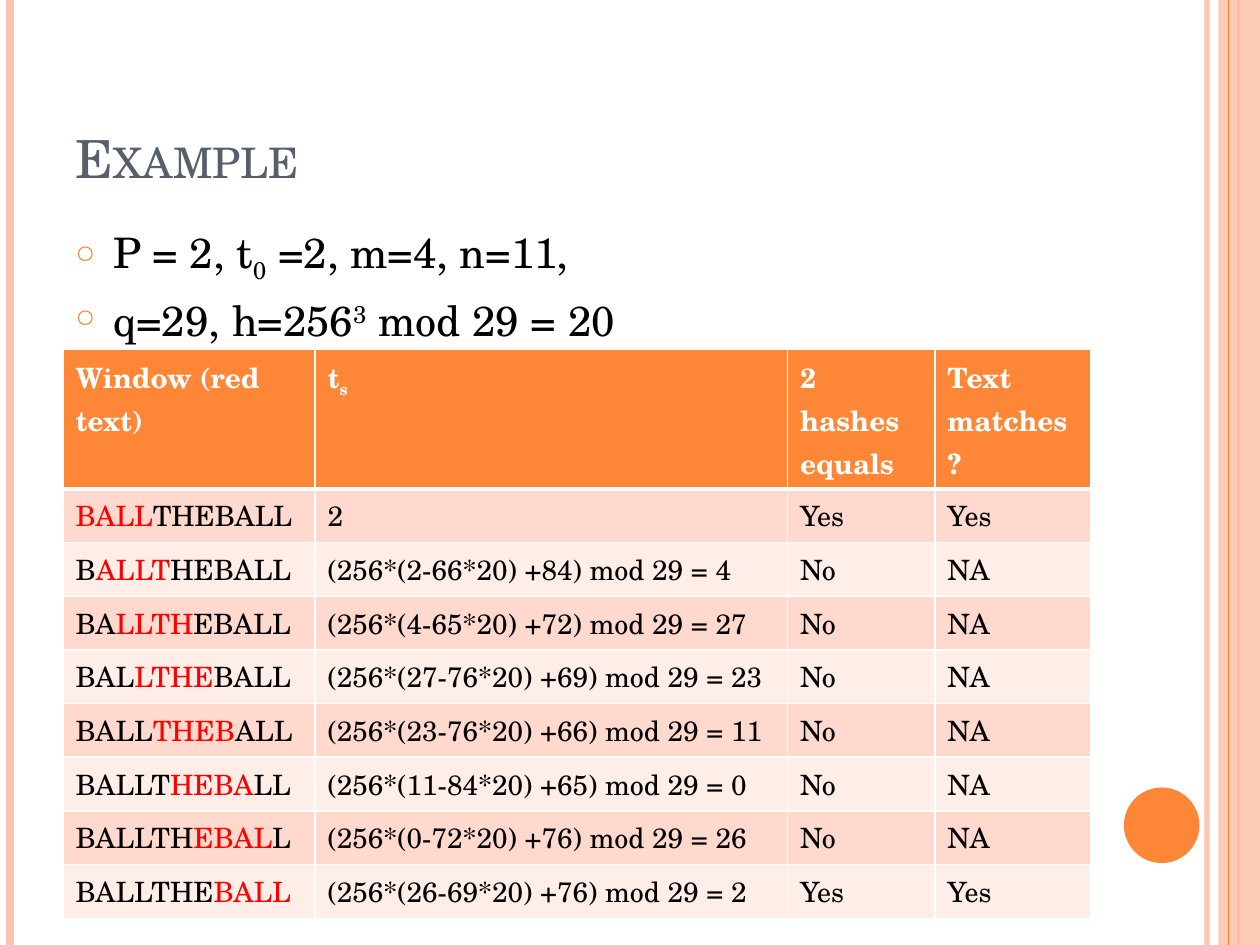
from dataclasses import dataclass

from lxml import etree
from pptx import Presentation
from pptx.dml.color import RGBColor
from pptx.enum.shapes import MSO_CONNECTOR, MSO_SHAPE
from pptx.enum.text import MSO_ANCHOR
from pptx.oxml.ns import qn
from pptx.util import Inches, Pt

STRAIGHT = MSO_CONNECTOR.STRAIGHT
RECTANGLE, OVAL = MSO_SHAPE.RECTANGLE, MSO_SHAPE.OVAL
BOTTOM, TOP = MSO_ANCHOR.BOTTOM, MSO_ANCHOR.TOP


@dataclass(frozen=True)
class Theme:
    font: str = "TeX Gyre Schola"
    accent: str = "FE8637"
    peach: str = "FEC3AE"
    title: str = "575F6D"
    text: str = "000000"
    window: str = "FF0000"
    white: str = "FFFFFF"
    bands: tuple = ("FFD9CE", "FFEDE8")
    title_size: int = 30
    body_size: int = 24
    table_size: int = 16


THEME = Theme()
TEXT = "BALLTHEBALL"
WINDOW_LENGTH = 4
HEADERS = [[("Window (red text)", 0)], [("t", 0), ("s", -25)],
           [("2 hashes equals", 0)], [("Text matches?", 0)]]
STEPS = [
    ("2", "Yes", "Yes"),
    ("(256*(2-66*20) +84) mod 29 = 4", "No", "NA"),
    ("(256*(4-65*20) +72) mod 29 = 27", "No", "NA"),
    ("(256*(27-76*20) +69) mod 29 = 23", "No", "NA"),
    ("(256*(23-76*20) +66) mod 29 = 11", "No", "NA"),
    ("(256*(11-84*20) +65) mod 29 = 0", "No", "NA"),
    ("(256*(0-72*20) +76) mod 29 = 26", "No", "NA"),
    ("(256*(26-69*20) +76) mod 29 = 2", "Yes", "Yes"),
]
GIVENS = [
    [("P = 2, t", 0), ("0", -25), (" =2, m=4, n=11,", 0)],
    [("q=29, h=256", 0), ("3", 30), (" mod 29 = 20", 0)],
]
COLUMN_WIDTHS = (2, 3.75, 1.17, 1.24)
HEADER_HEIGHT = 1.11


def rgb(color):
    return RGBColor.from_string(color)


def add_element(parent, tag, **attributes):
    return etree.SubElement(parent, qn(tag), attributes)


def set_opacity(element, percent):
    color = next(element.iter(qn("a:srgbClr")))
    add_element(color, "a:alpha", val=str(percent * 1000))


def add_span(para, text, size, color=THEME.text, bold=False, baseline=0,
             small_caps=False):
    span = para.add_run()
    span.text = text
    span.font.name = THEME.font
    span.font.size = Pt(size)
    span.font.bold = bold
    span.font.color.rgb = rgb(color)
    properties = span.font._element
    if baseline:
        properties.set("baseline", str(baseline * 1000))
    if small_caps:
        properties.set("cap", "small")


def add_frame(page, box, anchor):
    frame = page.shapes.add_textbox(*map(Inches, box)).text_frame
    frame.word_wrap = True
    frame.vertical_anchor = anchor
    return frame


def add_rule(page, x, height, color, width, opacity=100):
    rule = page.shapes.add_connector(
        STRAIGHT, Inches(x), 0, Inches(x), Inches(height))
    rule.line.color.rgb = rgb(color)
    rule.line.width = Pt(width)
    add_element(rule._element.spPr, "a:effectLst")
    if opacity < 100:
        set_opacity(rule._element.spPr, opacity)


def add_block(page, kind, box, color, opacity=100):
    block = page.shapes.add_shape(kind, *map(Inches, box))
    block.shadow.inherit = False
    block.fill.solid()
    block.fill.fore_color.rgb = rgb(color)
    block.line.fill.background()
    if opacity < 100:
        set_opacity(block._element.spPr, opacity)


def add_decoration(page, box):
    """Edge stripes and the disc, placed inside the page box."""
    left, top, width, height = box
    right = left + width
    add_rule(page, right - 0.42, height, THEME.peach, 3, opacity=93)
    add_rule(page, left + 0.08, height, THEME.peach, 4.5)
    add_rule(page, right - 0.17, height, THEME.accent, 1.5)
    add_block(page, RECTANGLE, (right - 0.33, top, 0.33, height),
              THEME.peach, opacity=87)
    add_rule(page, right - 0.25, height, THEME.accent, 0.75)
    add_block(page, OVAL, (right - 1.08, top + 6.25, 0.6, 0.6), THEME.accent)


def add_title(page, box, text):
    para = add_frame(page, box, BOTTOM).paragraphs[0]
    add_span(para, text, THEME.title_size, color=THEME.title, small_caps=True)


def add_bullets(page, box, items):
    frame = add_frame(page, box, TOP)
    for index, parts in enumerate(items):
        para = frame.add_paragraph() if index else frame.paragraphs[0]
        para.space_before = Pt(6)
        properties = para._element.get_or_add_pPr()
        properties.set("marL", str(Inches(0.3)))
        properties.set("indent", str(-Inches(0.3)))
        color = add_element(properties, "a:buClr")
        add_element(color, "a:srgbClr", val=THEME.accent)
        add_element(properties, "a:buSzPct", val="60000")
        add_element(properties, "a:buChar", char="○")
        for text, baseline in parts:
            add_span(para, text, THEME.body_size, baseline=baseline)


def style_cell(cell, fill, top=1, bottom=1):
    properties = cell._tc.get_or_add_tcPr()
    for side, width in (("L", 1), ("R", 1), ("T", top), ("B", bottom)):
        line = add_element(properties, f"a:ln{side}", w=str(Pt(width)))
        color = add_element(line, "a:solidFill")
        add_element(color, "a:srgbClr", val=THEME.white)
    cell.fill.solid()
    cell.fill.fore_color.rgb = rgb(fill)


def add_window(para, shift):
    """Write the searched text with the window at this shift in red."""
    end = shift + WINDOW_LENGTH
    for text, color in ((TEXT[:shift], THEME.text),
                        (TEXT[shift:end], THEME.window),
                        (TEXT[end:], THEME.text)):
        if text:
            add_span(para, text, THEME.table_size, color=color)


def add_hash_table(page, box):
    table = page.shapes.add_table(
        len(STEPS) + 1, len(HEADERS), *map(Inches, box)).table
    for column, width in zip(table.columns, COLUMN_WIDTHS):
        column.width = Inches(width)
    step_height = (box[3] - HEADER_HEIGHT) / len(STEPS)
    for index, row in enumerate(table.rows):
        row.height = Inches(step_height if index else HEADER_HEIGHT)
    # Header row
    for column, parts in enumerate(HEADERS):
        cell = table.cell(0, column)
        style_cell(cell, THEME.accent, bottom=3)
        for text, baseline in parts:
            add_span(cell.text_frame.paragraphs[0], text, THEME.table_size,
                     color=THEME.white, bold=True, baseline=baseline)
    # One row for each shift of the window
    for shift, values in enumerate(STEPS):
        cells = [table.cell(shift + 1, column) for column in range(len(HEADERS))]
        for cell in cells:
            style_cell(cell, THEME.bands[shift % 2], top=1 if shift else 3)
        add_window(cells[0].text_frame.paragraphs[0], shift)
        for cell, value in zip(cells[1:], values):
            add_span(cell.text_frame.paragraphs[0], value, THEME.table_size)


def main():
    deck = Presentation()
    deck.slide_width, deck.slide_height = Inches(10), Inches(7.5)
    page = deck.slides.add_slide(deck.slide_layouts[6])
    add_decoration(page, (0, 0, 10, 7.5))
    add_title(page, (0.5, 0.3, 8.17, 1.25), "Example")
    add_bullets(page, (0.5, 1.75, 8.17, 5.33), GIVENS)
    add_hash_table(page, (0.5, 2.77, sum(COLUMN_WIDTHS), 4.52))
    deck.save("out.pptx")


if __name__ == "__main__":
    main()
